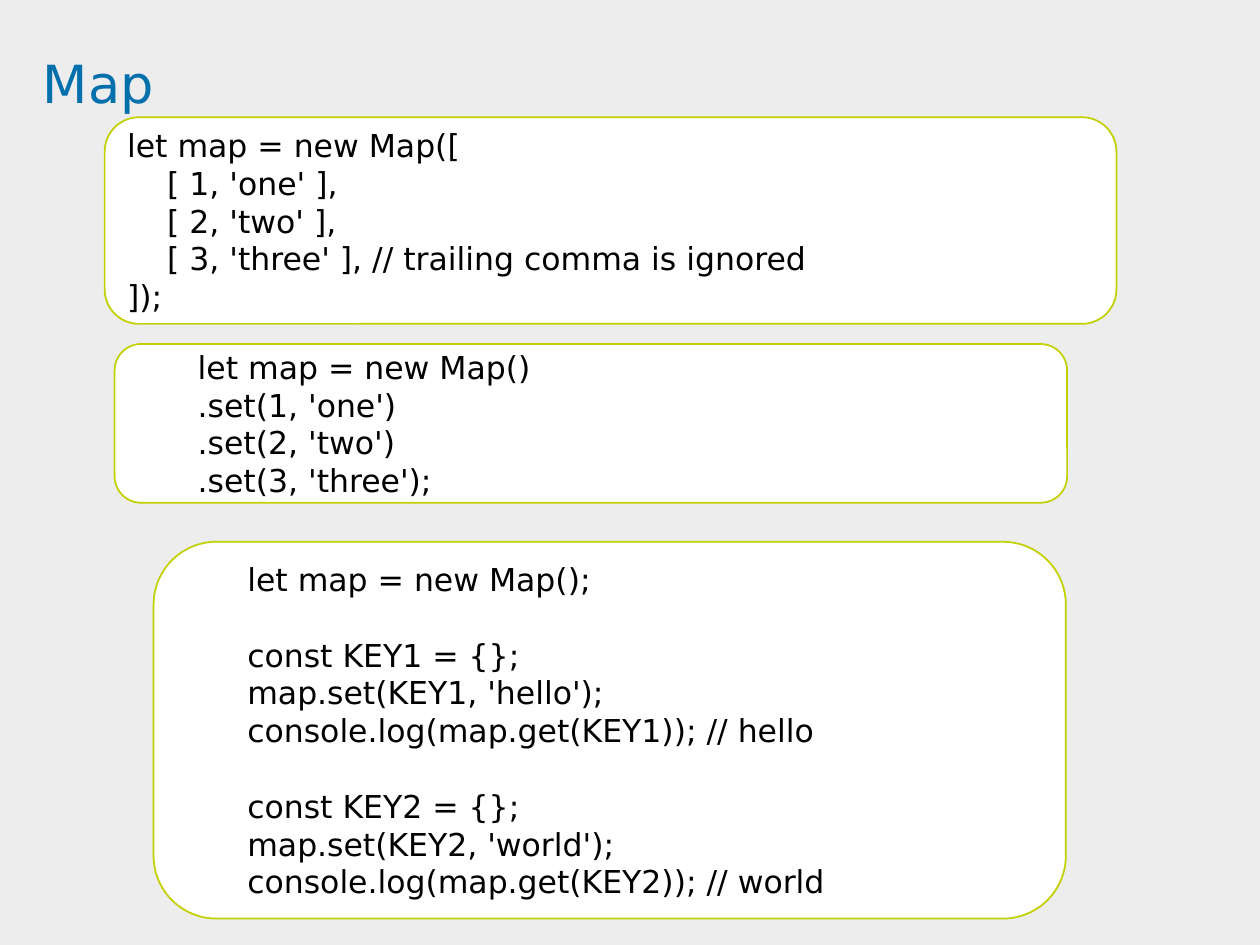
from pptx import Presentation
from pptx.dml.color import RGBColor
from pptx.enum.shapes import MSO_SHAPE as Shape
from pptx.enum.text import MSO_ANCHOR as Anchor, PP_ALIGN as Align
from pptx.util import Pt

FONT = "DejaVu Sans"
PITCH = 21.6
TITLE = {"text": "Map", "box": (24.5, 33.1, 654.5, 67.7)}

# Each panel: box, left indent, then groups of (extra indent, line)
PANELS = [
    {"box": (59.8, 67, 578.2, 118.1), "indent": 0, "groups": [[
        (0, "let map = new Map(["),
        (22.9, "[ 1, 'one' ],"),
        (22.9, "[ 2, 'two' ],"),
        (22.9, "[ 3, 'three' ], // trailing comma is ignored"),
        (0, "]);")]]},
    {"box": (65.5, 196.6, 544.3, 90.7), "indent": 36, "groups": [[
        (0, "let map = new Map()"),
        (0, ".set(1, 'one')"),
        (0, ".set(2, 'two')"),
        (0, ".set(3, 'three');")]]},
    {"box": (87.8, 309.6, 521.3, 215.3), "indent": 36, "groups": [
        [(0, "let map = new Map();")],
        [(0, "const KEY1 = {};"),
         (0, "map.set(KEY1, 'hello');"),
         (0, "console.log(map.get(KEY1)); // hello")],
        [(0, "const KEY2 = {};"),
         (0, "map.set(KEY2, 'world');"),
         (0, "console.log(map.get(KEY2)); // world")]]},
]


def rgb(code):
    """Turn a hex string into a colour."""
    return RGBColor.from_string(code)


def apply(obj, vals):
    """Set attributes from a dict."""
    for key, val in vals.items():
        setattr(obj, key, val)


def fill(part, code):
    """Give a shape, line or background a solid fill."""
    part.fill.solid()
    part.fill.fore_color.rgb = rgb(code)


def write(para, text, size, code, form):
    """Write one run of text into a paragraph."""
    apply(para, form)
    run = para.add_run()
    run.text = text
    apply(run.font, {"name": FONT, "size": Pt(size)})
    run.font.color.rgb = rgb(code)


def add_title(slide):
    """Place the slide title."""
    frame = slide.shapes.add_textbox(*map(Pt, TITLE["box"])).text_frame
    sides = ("left", "top", "right", "bottom")
    apply(frame, {"word_wrap": True, "vertical_anchor": Anchor.TOP,
                  **{f"margin_{side}": 0 for side in sides}})
    write(frame.paragraphs[0], TITLE["text"], 30, "0070AD",
          {"line_spacing": 0.9})


def add_panel(slide, panel):
    """Draw a rounded panel with its code; a gap parts the groups."""
    shape = slide.shapes.add_shape(Shape.ROUNDED_RECTANGLE,
                                   *map(Pt, panel["box"]))
    shape.shadow.inherit = False
    fill(shape, "FFFFFF")
    fill(shape.line, "C2CF00")
    shape.line.width = Pt(1)
    frame = shape.text_frame
    apply(frame, {"word_wrap": True, "vertical_anchor": Anchor.MIDDLE})
    para = frame.paragraphs[0]
    for g, group in enumerate(panel["groups"]):
        for i, (extra, text) in enumerate(group):
            if g or i:
                para = frame.add_paragraph()
            gap = PITCH if g and not i else 0
            write(para, text, 18, "000000",
                  {"alignment": Align.LEFT, "line_spacing": Pt(PITCH),
                   "space_before": Pt(gap)})
            props = para._p.get_or_add_pPr()
            props.set("marL", str(Pt(panel["indent"] + extra)))
            props.set("indent", "0")


def main():
    """Build and save the slide."""
    deck = Presentation()
    apply(deck, {"slide_width": Pt(720), "slide_height": Pt(540)})
    slide = deck.slides.add_slide(deck.slide_layouts[6])
    fill(slide.background, "EDEDED")
    add_title(slide)
    for panel in PANELS:
        add_panel(slide, panel)
    deck.save("out.pptx")


main()
